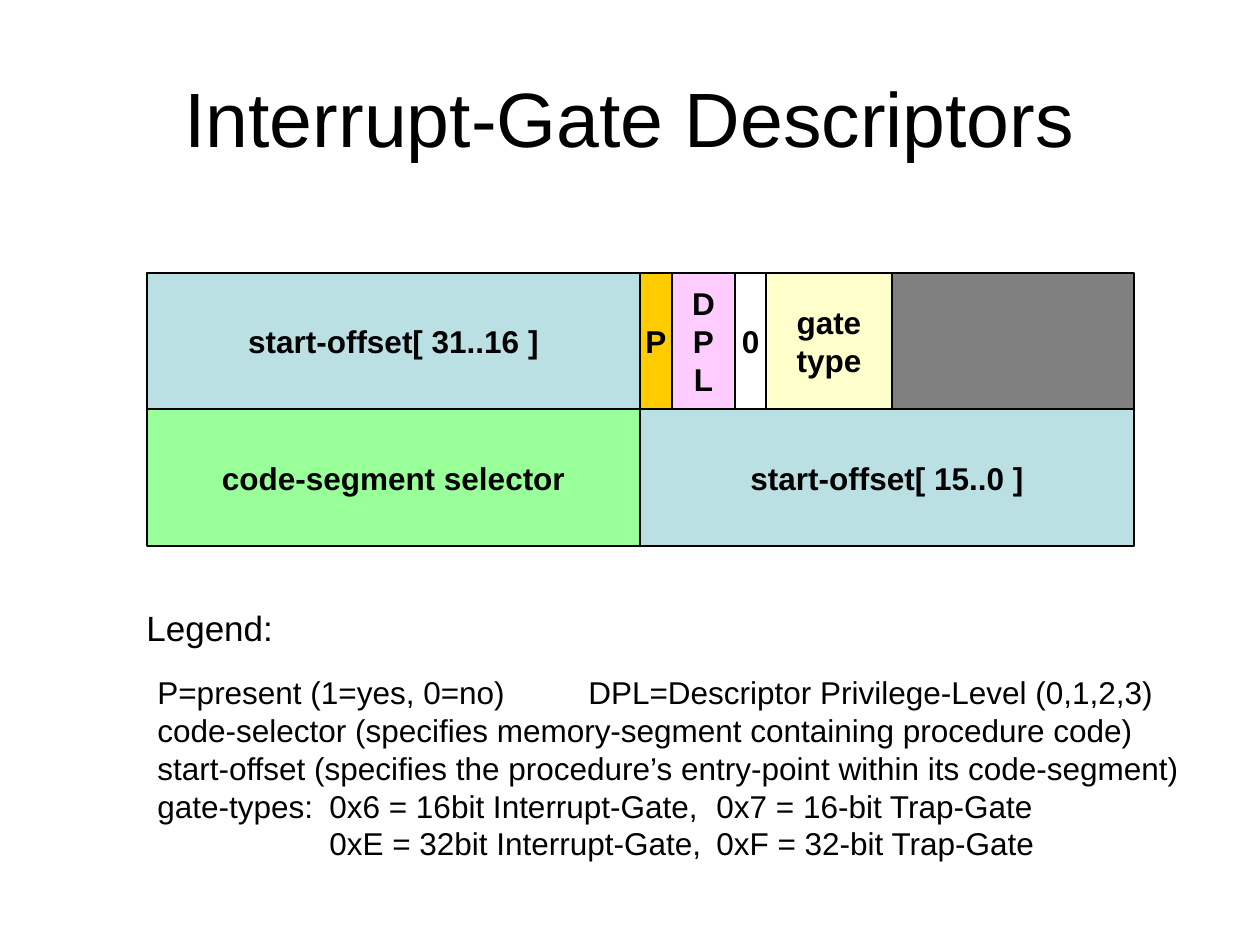
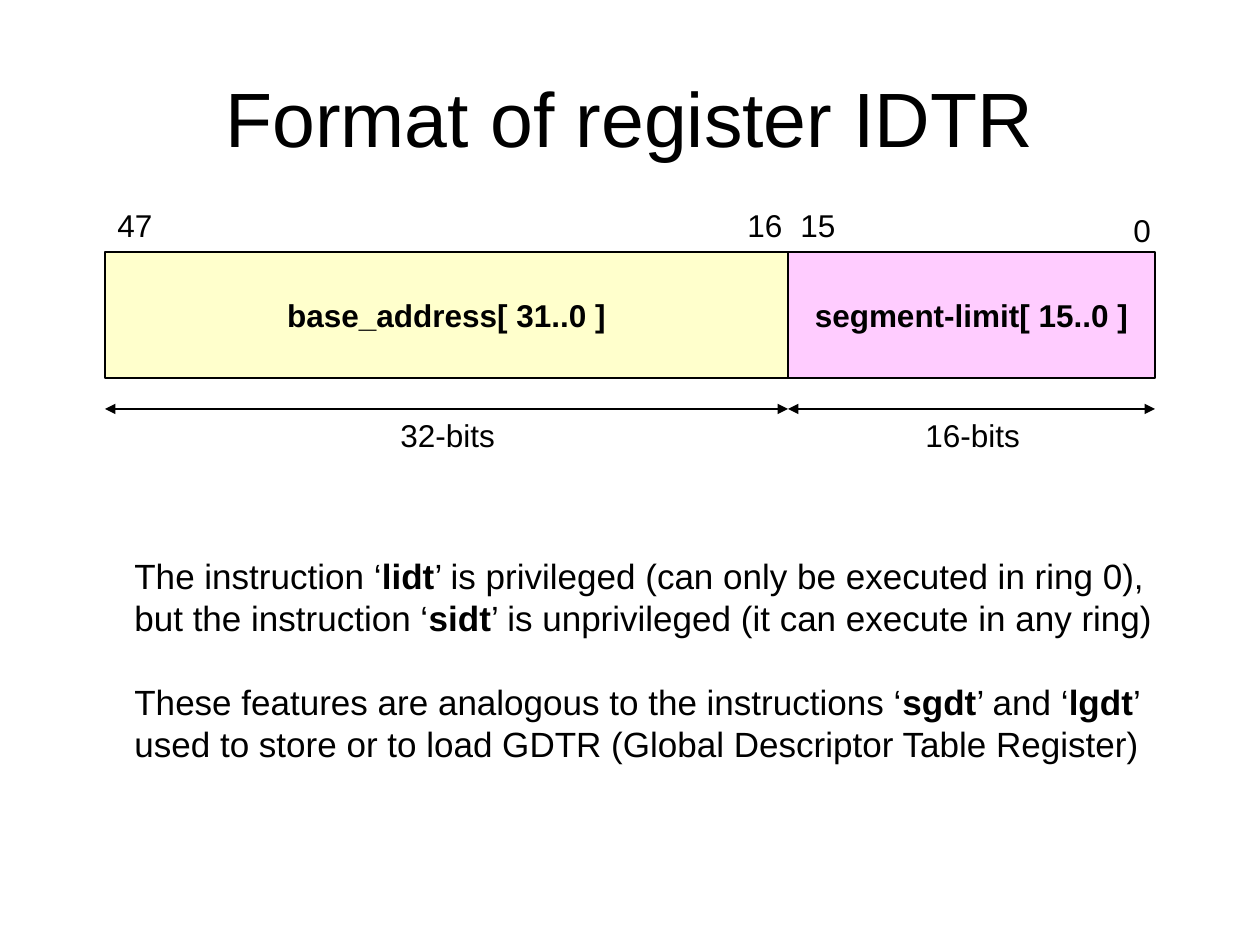
from lxml.etree import SubElement
from pptx import Presentation
from pptx.dml.color import RGBColor
from pptx.enum.shapes import MSO_CONNECTOR, MSO_SHAPE
from pptx.enum.text import MSO_ANCHOR, PP_ALIGN
from pptx.oxml.ns import qn
from pptx.util import Pt

# Shared style
PX = 914400 / 126
FONT = "Arial"
BLACK = RGBColor(0x00, 0x00, 0x00)
WHITE = RGBColor(0xFF, 0xFF, 0xFF)
GRAY = RGBColor(0x80, 0x80, 0x80)
BLUE = RGBColor(0xBB, 0xE0, 0xE3)
GREEN = RGBColor(0x99, 0xFF, 0x99)
ORANGE = RGBColor(0xFF, 0xCC, 0x00)
PINK = RGBColor(0xFF, 0xCC, 0xFF)
YELLOW = RGBColor(0xFF, 0xFF, 0xCC)
LINE_WIDTH = Pt(0.75)


def emu(*lengths):
    return [round(length * PX) for length in lengths]


def write(box, text, size=18, bold=False, align=PP_ALIGN.LEFT,
          anchor=MSO_ANCHOR.TOP, wrap=False, tabs=(), gaps=None):
    """Fill a box: newlines part paragraphs, asterisks enclose bold words."""
    frame = box.text_frame
    frame.word_wrap = wrap
    frame.vertical_anchor = anchor
    for number, line in enumerate(text.split("\n")):
        para = frame.add_paragraph() if number else frame.paragraphs[0]
        para.alignment = align
        if gaps and number in gaps:
            para.space_before = Pt(gaps[number])
        if tabs:
            stops = SubElement(para._p.get_or_add_pPr(), qn("a:tabLst"))
            for position in emu(*tabs):
                SubElement(stops, qn("a:tab"), pos=str(position), algn="l")
        for part, words in enumerate(line.split("*")):
            span = para.add_run()
            span.text = words
            span.font.name = FONT
            span.font.size = Pt(size)
            span.font.bold = bold or part % 2 == 1
            span.font.color.rgb = BLACK


def add_text(page, text, left, top, width, height, **style):
    box = page.shapes.add_textbox(*emu(left, top, width, height))
    write(box, text, **style)


def add_page(deck, title):
    page = deck.slides.add_slide(deck.slide_layouts[6])
    add_text(page, title, 63, 38, 1134, 158, size=44, wrap=True,
             align=PP_ALIGN.CENTER, anchor=MSO_ANCHOR.MIDDLE)
    return page


def add_field_row(page, top, height, edges, fields):
    """Draw adjoining bit fields between successive edges."""
    for left, right, (text, fill) in zip(edges, edges[1:], fields):
        field = page.shapes.add_shape(
            MSO_SHAPE.RECTANGLE, *emu(left, top, right - left, height))
        field.shadow.inherit = False
        field.fill.solid()
        field.fill.fore_color.rgb = fill
        field.line.color.rgb = BLACK
        field.line.width = LINE_WIDTH
        if text:
            write(field, text, bold=True, align=PP_ALIGN.CENTER,
                  anchor=MSO_ANCHOR.MIDDLE)


def add_span_arrow(page, left, right, y):
    arrow = page.shapes.add_connector(
        MSO_CONNECTOR.STRAIGHT, *emu(left, y, right, y))
    arrow.line.color.rgb = BLACK
    arrow.line.width = LINE_WIDTH
    outline = arrow.line._get_or_add_ln()
    for end in ("a:headEnd", "a:tailEnd"):
        SubElement(outline, qn(end), type="triangle")
    SubElement(arrow._element.spPr, qn("a:effectLst"))


def add_gate_page(deck):
    page = add_page(deck, "Interrupt-Gate Descriptors")

    # Descriptor layout, high half above low half
    add_field_row(page, 273, 136, [147, 640, 672, 735, 766, 892, 1134], [
        ("start-offset[ 31..16 ]", BLUE), ("P", ORANGE), ("D\nP\nL", PINK),
        ("0", WHITE), ("gate\ntype", YELLOW), ("", GRAY)])
    add_field_row(page, 409, 137, [147, 640, 1134], [
        ("code-segment selector", GREEN), ("start-offset[ 15..0 ]", BLUE)])

    # Legend
    add_text(page, "Legend:", 134, 600, 165, 55, size=20, wrap=True)
    add_text(
        page,
        "P=present (1=yes, 0=no)\tDPL=Descriptor Privilege-Level (0,1,2,3)\n"
        "code-selector (specifies memory-segment containing procedure code)\n"
        "start-offset (specifies the procedure’s entry-point within its code-segment)\n"
        "gate-types:\t0x6 = 16bit Interrupt-Gate,\t0x7 = 16-bit Trap-Gate\n"
        "\t0xE = 32bit Interrupt-Gate,\t0xF = 32-bit Trap-Gate",
        145, 667, 1052, 202, wrap=True, tabs=(172, 431, 559))


def add_register_page(deck):
    page = add_page(deck, "Format of register IDTR")

    # Register fields and bit numbers
    edges = [105, 788, 1155]
    add_field_row(page, 252, 126, edges, [
        ("base_address[ 31..0 ]", YELLOW), ("segment-limit[ 15..0 ]", PINK)])
    for number, left, top, width in [("47", 105, 200, 62), ("16", 735, 200, 62),
                                     ("15", 788, 200, 62), ("0", 1121, 205, 46)]:
        add_text(page, number, left, top, width, 50)

    # Field widths
    for left, right, label, label_left in zip(
            edges, edges[1:], ("32-bits", "16-bits"), (388, 913)):
        add_span_arrow(page, left, right, 409)
        add_text(page, label, label_left, 410, 122, 50)

    # Remarks
    add_text(
        page,
        "The instruction ‘*lidt*’ is privileged (can only be executed in ring 0),\n"
        "but the instruction ‘*sidt*’ is unprivileged (it can execute in any ring)\n"
        "These features are analogous to the instructions ‘*sgdt*’ and ‘*lgdt*’\n"
        "used to store or to load GDTR (Global Descriptor Table Register)",
        122, 548, 1050, 223, size=20, wrap=True, gaps={2: 24})


def main():
    deck = Presentation()
    deck.slide_width, deck.slide_height = emu(1260, 945)
    add_gate_page(deck)
    add_register_page(deck)
    deck.save("out.pptx")


if __name__ == "__main__":
    main()
